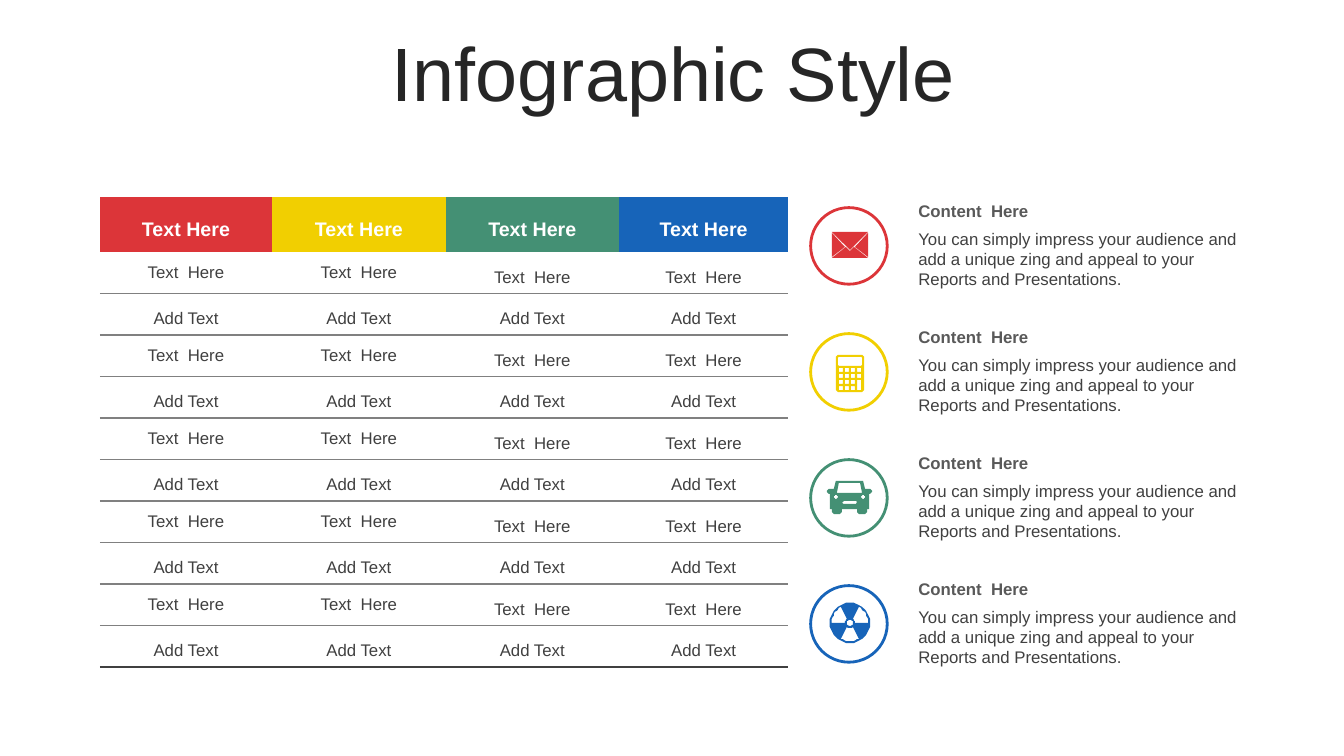
"""Build the Infographic Style slide: a coloured table beside four icon notes."""
from math import cos, radians, sin

from lxml.etree import SubElement
from pptx import Presentation
from pptx.dml.color import RGBColor as RGB
from pptx.enum.shapes import MSO_SHAPE as SHAPE
from pptx.enum.text import MSO_ANCHOR as ANCHOR, MSO_AUTO_SIZE as AUTO, PP_ALIGN as ALIGN
from pptx.oxml.ns import qn
from pptx.util import Pt

PX = 9144
THEME = {
    "accents": ["DC3539", "F1CF01", "449074", "1764B9"],
    "white": "FFFFFF",
    "rule": ("808080", 1),
    "last_rule": ("404040", 2.25),
    "ring": 2,
    "title": {"size": Pt(54), "name": "Arial", "bold": False, "color": "262626"},
    "header": {"size": Pt(14), "name": "Arial", "bold": True, "color": "FFFFFF"},
    "heading": {"size": Pt(12), "name": "Arial", "bold": True, "color": "595959"},
    "body": {"size": Pt(12), "name": "Arial", "bold": False, "color": "404040"},
}
NOTE = ("You can simply impress your audience and add a unique zing "
        "and appeal to your Reports and Presentations.")


def write(tf, text, style, align=ALIGN.LEFT, spacing=1.0):
    p = tf.paragraphs[0]
    p.alignment, p.line_spacing = align, spacing
    r = p.add_run()
    r.text = text
    for key, value in THEME[style].items():
        if key == "color":
            r.font.color.rgb = RGB.from_string(value)
        else:
            setattr(r.font, key, value)


def arc(cx, cy, radius, start=0, end=360):
    return [(cx + radius * cos(radians(a)), cy + radius * sin(radians(a)))
            for a in range(start, end + 1, 6)]


prs = Presentation()
prs.slide_width, prs.slide_height = 1333 * PX, 750 * PX
s = prs.slides.add_slide(prs.slide_layouts[6])

title = s.shapes.add_textbox(35 * PX, 37 * PX, 1266 * PX, 79 * PX)
title.text_frame.word_wrap = True
title.text_frame.vertical_anchor = ANCHOR.MIDDLE
write(title.text_frame, "Infographic Style", "title", ALIGN.CENTER, 0.9)

for i, accent in enumerate(THEME["accents"]):
    sp = s.shapes.add_shape(SHAPE.OVAL, 804 * PX, (206 + 125 * i) * PX, 76 * PX, 76 * PX)
    sp.shadow.inherit = False
    sp.fill.solid()
    sp.fill.fore_color.rgb = RGB.from_string(THEME["white"])
    sp.line.color.rgb = RGB.from_string(accent)
    sp.line.width = Pt(THEME["ring"])

ROWS, HEADER_H, TABLE_H = 11, 55, 467
COLS = [171, 172, 172, 168]
table = s.shapes.add_table(ROWS, len(COLS), 99 * PX, 195 * PX, sum(COLS) * PX, TABLE_H * PX).table
table.first_row = table.horz_banding = False
for column, width in zip(table.columns, COLS):
    column.width = width * PX
for row, line in enumerate(table.rows):
    line.height = HEADER_H * PX if row == 0 else (TABLE_H - HEADER_H) * PX // (ROWS - 1)
    top = THEME["rule"] if row > 1 else None
    bottom = None if row == 0 else THEME["last_rule"] if row == ROWS - 1 else THEME["rule"]
    for col, cell in enumerate(line.cells):
        cell.vertical_anchor = ANCHOR.MIDDLE
        props = cell._tc.get_or_add_tcPr()
        for tag, border in (("L", None), ("R", None), ("T", top), ("B", bottom)):
            ln = SubElement(props, qn(f"a:ln{tag}"))
            if border is None:
                ln.set("w", "0")
                SubElement(ln, qn("a:noFill"))
            else:
                ln.set("w", str(int(Pt(border[1]))))
                SubElement(SubElement(ln, qn("a:solidFill")), qn("a:srgbClr")).set("val", border[0])
        cell.fill.solid()
        cell.fill.fore_color.rgb = RGB.from_string(THEME["white"] if row else THEME["accents"][col])
        text = "Text Here" if row == 0 else "Text  Here" if row % 2 else "Add Text"
        spacing = 1.0 if row % 2 and col < 2 else 1.5
        write(cell.text_frame, text, "body" if row else "header", ALIGN.CENTER, spacing)

for i in range(4):
    note = s.shapes.add_group_shape()
    for top, height, text, style, anchor in (
        (194, 30, "Content  Here", "heading", ANCHOR.MIDDLE),
        (222, 71, NOTE, "body", ANCHOR.TOP),
    ):
        sp = note.shapes.add_textbox(901 * PX, (top + 125 * i) * PX, 342 * PX, height * PX)
        tf = sp.text_frame
        tf.word_wrap, tf.auto_size, tf.vertical_anchor = True, AUTO.SHAPE_TO_FIT_TEXT, anchor
        write(tf, text, style)

envelope = [
    [(847, 245), (861, 256), (825, 256), (839, 245), (843, 249)],
    [(861, 231), (861, 255), (848, 245)],
    [(825, 231), (838, 245), (825, 255)],
    [(825, 230), (861, 230), (843, 248)],
]

keys = [(832 + 6 * c, 365 + 6 * r, 4, 10 if (c, r) == (3, 2) else 4, 0)
        for r in range(4) for c in range(4) if (c, r) != (3, 3)]
calculator = [
    [(x + c, y), (x + w - c, y), (x + w, y + c), (x + w, y + h - c),
     (x + w - c, y + h), (x + c, y + h), (x, y + h - c), (x, y + c)]
    for x, y, w, h, c in [(829, 352, 28, 37, 2), (831, 354, 24, 9, 1)] + keys
]

half_car = [(856, 477), (858, 485), (863, 485), (865, 487), (865, 488), (863, 490), (862, 490),
            (862, 505), (860, 505), (860, 508), (858, 510), (852, 510), (850, 508), (850, 505)]
car = [
    half_car + [(1685 - x, y) for x, y in reversed(half_car)],
    [(832, 479), (830, 489), (855, 489), (853, 479)],
    [(837, 497), (849, 497), (850, 498), (849, 500), (837, 500), (835, 499)],
    arc(829, 493, 2), arc(856, 493, 2),
]

fan = [arc(843, 618, 20), arc(843, 618, 3)]
for start in (60, 180, 300):
    fan.append(arc(843, 618, 18, start, start + 60) + arc(843, 618, 5, start, start + 60)[::-1])

for accent, outlines in zip(THEME["accents"], (envelope, calculator, car, fan)):
    builder = s.shapes.build_freeform(*outlines[0][0], scale=PX)
    for n, points in enumerate(outlines):
        if n:
            builder.move_to(*points[0])
        builder.add_line_segments(points[1:], close=True)
    sp = builder.convert_to_shape()
    sp.shadow.inherit = False
    sp.fill.solid()
    sp.fill.fore_color.rgb = RGB.from_string(accent)
    sp.line.fill.background()

prs.save("out.pptx")
